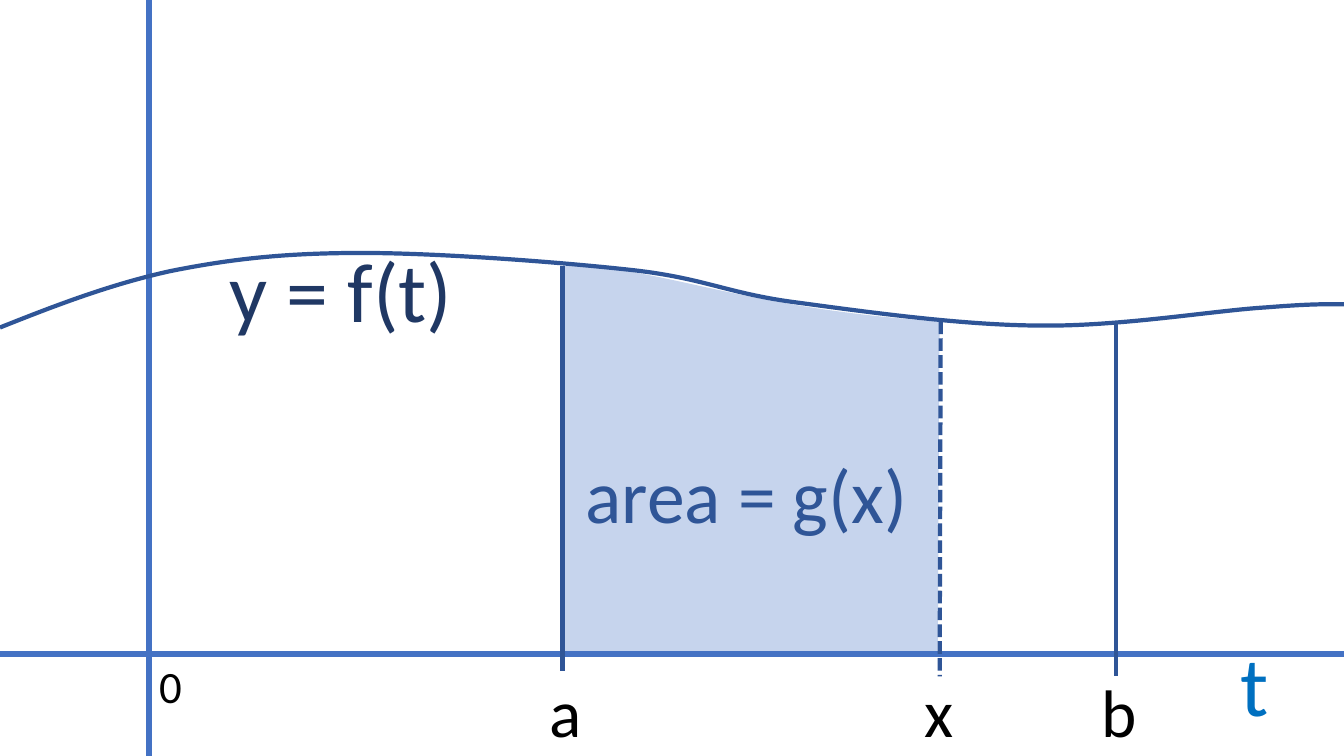
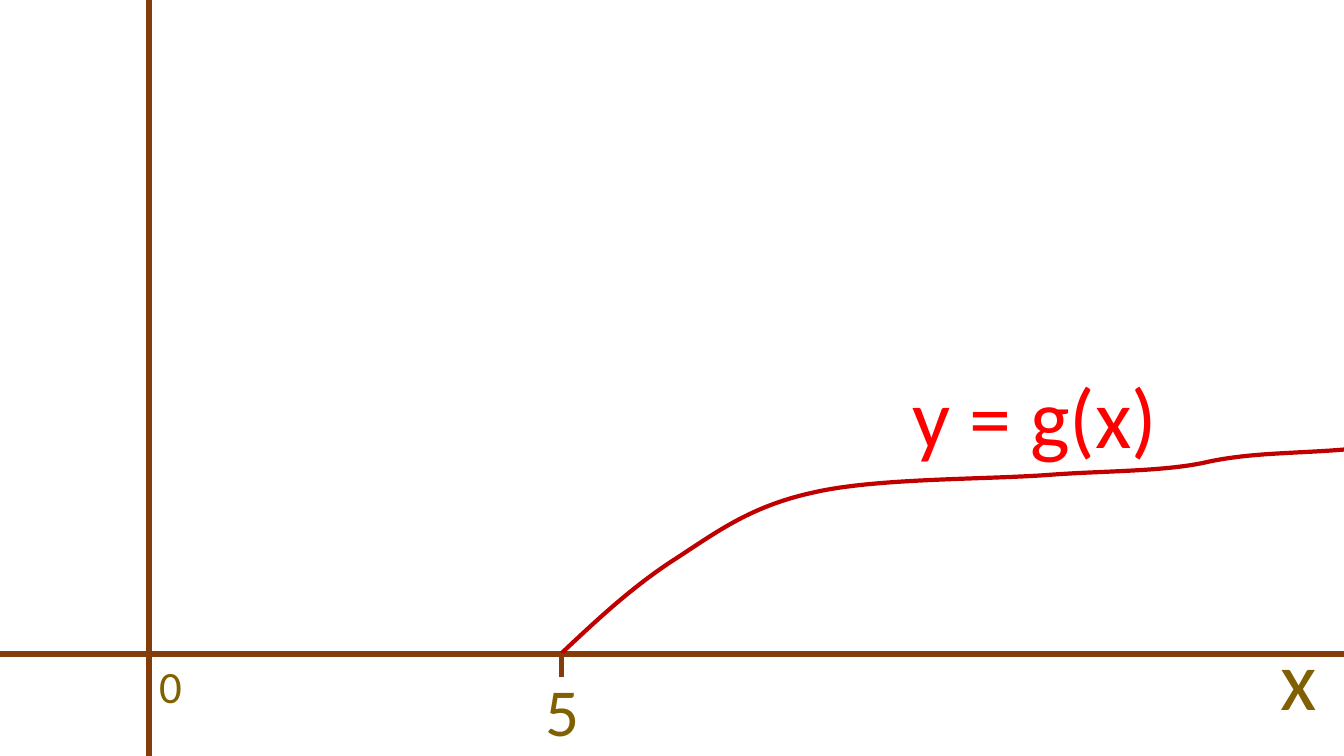
from lxml.etree import SubElement
from pptx import Presentation
from pptx.dml.color import RGBColor
from pptx.enum.dml import MSO_LINE
from pptx.enum.shapes import MSO_CONNECTOR
from pptx.enum.text import MSO_AUTO_SIZE
from pptx.oxml.ns import qn
from pptx.util import Inches, Pt

# Theme: colours, type sizes and line widths
THEME = {
    "font": "Calibri",
    "size": {"zero": 32, "mark": 48, "area": 54, "name": 60},
    "width": {"axis": 4.5, "curve": 3},
    "blue": {"axis": "4472C4", "mark": "2F5597", "curve": "2F5597",
             "area": "4472C4", "text": "000000", "axis name": "0070C0",
             "curve name": "203864", "area name": "2F5597"},
    "brown": {"axis": "843C0B", "mark": "843C0B", "curve": "C00000",
              "text": "806000", "curve name": "FF0000"},
}
WIDE, HIGH = 13.33, 7.5
ZERO_X, ZERO_Y = 1.48, 6.49

# Outlines: a start, then cubic pieces (6 numbers) or lines (2)
AREA = [(5.6, 2.64), (6.54, 2.63, 7.27, 3.05, 9.32, 3.19),
        (9.31, 4.31, 9.31, 5.37, 9.3, ZERO_Y), (5.58, ZERO_Y),
        (5.59, 5.22, 5.59, 3.91, 5.6, 2.64)]
F_CURVE = [(0, 3.25), (0.55, 3.03, 1.1, 2.82, 1.69, 2.69),
           (2.29, 2.57, 2.82, 2.51, 3.59, 2.51),
           (4.35, 2.51, 5.55, 2.6, 6.27, 2.68),
           (6.99, 2.76, 7.21, 2.91, 7.89, 3),
           (8.56, 3.09, 9.55, 3.23, 10.33, 3.23),
           (11.11, 3.24, 12.05, 3.08, 12.56, 3.05),
           (13.06, 3.01, 13.19, 3.02, WIDE, 3.02)]
G_CURVE = [(5.57, 6.48), (5.91, 6.16, 6.25, 5.84, 6.66, 5.57),
           (7.08, 5.3, 7.42, 5.03, 8.05, 4.89),
           (8.68, 4.74, 9.76, 4.76, 10.42, 4.71),
           (10.95, 4.67, 11.57, 4.68, 11.99, 4.58),
           (12.42, 4.49, 12.84, 4.5, WIDE, 4.46)]

# Content, back to front: kind, then what that kind needs
# label: text, size, colour, box; mark: top, foot, dashed
GRAPHS = [
    ("blue", [
        ("area", AREA),
        ("axes",),
        ("mark", (9.33, 3.19), (9.32, 6.71), True),
        ("label", "x", "mark", "text", (9.07, 6.6, 0.62, 0.91)),
        ("label", "t", "name", "axis name", (12.21, 6.23, 0.46, 1.11)),
        ("curve", F_CURVE),
        ("mark", (5.58, 2.64), (5.58, 6.66)),
        ("label", "a", "mark", "text", (5.35, 6.6, 0.52, 0.91)),
        ("label", "y = f(t)", "name", "curve name", (2.18, 2.32, 2.47, 1.11)),
        ("label", "area = g(x)", "area", "area name",
         (5.71, 4.39, 3.49, 1.01)),
        ("mark", (11.07, 3.19), (11.07, 6.71)),
        ("label", "b", "mark", "text", (10.83, 6.6, 0.62, 0.91)),
    ]),
    ("brown", [
        ("axes",),
        ("label", "x", "name", "text", (12.6, 6.17, 0.62, 1.11)),
        ("label", "5", "mark", "text", (5.31, 6.59, 0.52, 0.91)),
        ("label", "y = g(x)", "name", "curve name", (8.95, 3.57, 2.92, 1.11)),
        ("curve", G_CURVE),
        ("mark", (5.57, 6.48), (5.57, 6.72)),
    ]),
]


def hue(code):
    return RGBColor.from_string(code)


def pen(line, code, width):
    line.color.rgb = hue(code)
    line.width = Pt(THEME["width"][width])


def add_line(slide, start, end, code, width):
    ends = [Inches(n) for n in (*start, *end)]
    link = slide.shapes.add_connector(MSO_CONNECTOR.STRAIGHT, *ends)
    pen(link.line, code, width)
    SubElement(link._element.spPr, qn("a:effectLst"))
    return link


def add_free(slide, outline, close):
    """Join the end points by lines, then bend the cubic pieces."""
    dots = [(Inches(part[-2]), Inches(part[-1])) for part in outline]
    pad = slide.shapes.build_freeform(*dots[0])
    pad.add_line_segments(dots[1:], close=close)
    shape = pad.convert_to_shape()
    shape.shadow.inherit = False
    pieces = list(shape._element.spPr.iter(qn("a:lnTo")))
    for piece, part in zip(pieces, outline[1:]):
        if len(part) == 2:
            continue
        piece.tag = qn("a:cubicBezTo")
        for spot, (x, y) in enumerate((part[:2], part[2:4])):
            knot = piece.makeelement(qn("a:pt"), {
                "x": str(Inches(x) - shape.left),
                "y": str(Inches(y) - shape.top)})
            piece.insert(spot, knot)
    return shape


def add_area(slide, look, outline):
    shape = add_free(slide, outline, True)
    shape.fill.solid()
    shape.fill.fore_color.rgb = hue(look["area"])
    tint = shape._element.spPr.find(".//" + qn("a:srgbClr"))
    SubElement(tint, qn("a:alpha"), val="30000")
    shape.line.fill.background()


def add_curve(slide, look, outline):
    shape = add_free(slide, outline, False)
    shape.fill.background()
    pen(shape.line, look["curve"], "curve")


def add_mark(slide, look, top, foot, dash=False):
    link = add_line(slide, top, foot, look["mark"], "curve")
    if dash:
        link.line.dash_style = MSO_LINE.SQUARE_DOT


def add_label(slide, look, text, size, role, box):
    frame = slide.shapes.add_textbox(*map(Inches, box)).text_frame
    frame.word_wrap = True
    frame.auto_size = MSO_AUTO_SIZE.SHAPE_TO_FIT_TEXT
    run = frame.paragraphs[0].add_run()
    run.text = text
    style = {"name": THEME["font"], "size": Pt(THEME["size"][size])}
    for key, value in style.items():
        setattr(run.font, key, value)
    run.font.color.rgb = hue(look[role])


def add_axes(slide, look):
    for start, end in (((ZERO_X, 0), (ZERO_X, HIGH)),
                       ((WIDE, ZERO_Y), (0, ZERO_Y))):
        add_line(slide, start, end, look["axis"], "axis")
    add_label(slide, look, "0", "zero", "text", (ZERO_X, ZERO_Y, 0.38, 0.64))


DRAW = {"area": add_area, "axes": add_axes, "curve": add_curve,
        "mark": add_mark, "label": add_label}


def main():
    deck = Presentation()
    deck.slide_width, deck.slide_height = Inches(WIDE), Inches(HIGH)
    blank = deck.slide_layouts.get_by_name("Blank")
    for look, parts in GRAPHS:
        slide = deck.slides.add_slide(blank)
        for kind, *facts in parts:
            DRAW[kind](slide, THEME[look], *facts)
    deck.save("out.pptx")


if __name__ == "__main__":
    main()
